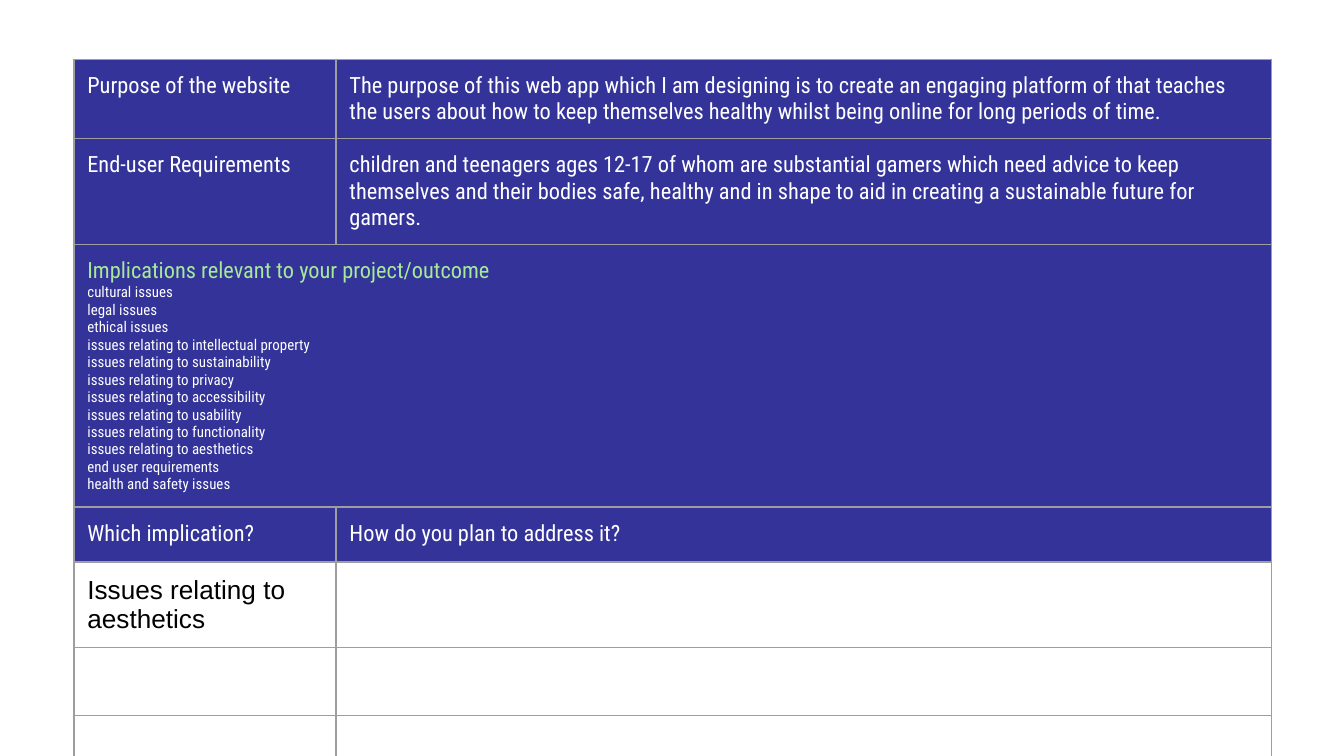
import lxml.etree
import pptx
import pptx.dml.color
import pptx.oxml.ns
import pptx.util

Pt = pptx.util.Pt
qn = pptx.oxml.ns.qn

BLUE = "333399"
WHITE = "FFFFFF"
GREEN = "A6E999"
BLACK = "000000"
GREY = "9E9E9E"
CONDENSED = "Roboto Condensed"

COLUMN_WIDTHS = [140.4, 501.1]
ROW_HEIGHTS = [36.7, 35.3, 29.5, 29.5, 35.3, 35.3, 35.3]
IMPLICATIONS_ROW = 2
ANSWER_ROW = 4

LABELLED_ROWS = {
    0: ["Purpose of the website",
        "The purpose of this web app which I am designing is to create an engaging "
        "platform of that teaches the users about how to keep themselves healthy "
        "whilst being online for long periods of time."],
    1: ["End-user Requirements",
        "children and teenagers ages 12-17 of whom are substantial gamers which need "
        "advice to keep themselves and their bodies safe, healthy and in shape to aid "
        "in creating a sustainable future for gamers."],
    3: ["Which implication?", "How do you plan to address it?"],
}
HEADING = "Implications relevant to your project/outcome"
IMPLICATIONS = [
    "cultural issues",
    "legal issues",
    "ethical issues",
    "issues relating to intellectual property",
    "issues relating to sustainability",
    "issues relating to privacy",
    "issues relating to accessibility",
    "issues relating to usability",
    "issues relating to functionality",
    "issues relating to aesthetics",
    "end user requirements",
    "health and safety issues",
]


def color(value):
    return pptx.dml.color.RGBColor.from_string(value)


def format_span(span, size, value, name=CONDENSED):
    span.font.size = Pt(size)
    span.font.name = name
    span.font.color.rgb = color(value)


def write_cell(cell, text, size, value, name=CONDENSED):
    cell.text_frame.text = text
    for para in cell.text_frame.paragraphs:
        for span in para.runs:
            format_span(span, size, value, name)


def draw_borders(cell):
    properties = cell._tc.get_or_add_tcPr()
    for side in ("a:lnL", "a:lnR", "a:lnT", "a:lnB"):
        line = lxml.etree.SubElement(properties, qn(side), w=str(Pt(0.75)))
        fill = lxml.etree.SubElement(line, qn("a:solidFill"))
        lxml.etree.SubElement(fill, qn("a:srgbClr"), val=GREY)


def style_cell(cell, filled):
    cell.margin_left = cell.margin_right = Pt(7.2)
    cell.margin_top = cell.margin_bottom = Pt(7.2)
    draw_borders(cell)
    if filled:
        cell.fill.solid()
        cell.fill.fore_color.rgb = color(BLUE)
    else:
        cell.fill.background()


def add_grid(page):
    frame = page.shapes.add_table(
        len(ROW_HEIGHTS), len(COLUMN_WIDTHS), Pt(39.6), Pt(31.7),
        Pt(sum(COLUMN_WIDTHS)), Pt(sum(ROW_HEIGHTS)))
    table = frame.table
    table.first_row = False
    table.horz_banding = False
    for column, width in zip(table.columns, COLUMN_WIDTHS):
        column.width = Pt(width)
    for index, height in enumerate(ROW_HEIGHTS):
        table.rows[index].height = Pt(height)
        for cell in table.rows[index].cells:
            style_cell(cell, filled=index < ANSWER_ROW)
    return table


def write_implications(cell):
    write_cell(cell, "\n".join([HEADING + "\v" + IMPLICATIONS[0]] + IMPLICATIONS[1:]), 8, WHITE)
    first = cell.text_frame.paragraphs[0]
    format_span(first.runs[0], 12, GREEN)
    line_break = first._p.find(qn("a:br"))
    lxml.etree.SubElement(line_break, qn("a:rPr"), sz="1200")


def main():
    deck = pptx.Presentation()
    deck.slide_width = Pt(720)
    deck.slide_height = Pt(405)
    page = deck.slides.add_slide(deck.slide_layouts[6])

    table = add_grid(page)
    for row, texts in LABELLED_ROWS.items():
        for column, text in enumerate(texts):
            write_cell(table.cell(row, column), text, 12, WHITE)

    implications = table.cell(IMPLICATIONS_ROW, 0)
    implications.merge(table.cell(IMPLICATIONS_ROW, 1))
    write_implications(implications)
    write_cell(table.cell(ANSWER_ROW, 0), "Issues relating to aesthetics", 14, BLACK, "Arial")

    deck.save("out.pptx")


if __name__ == "__main__":
    main()
